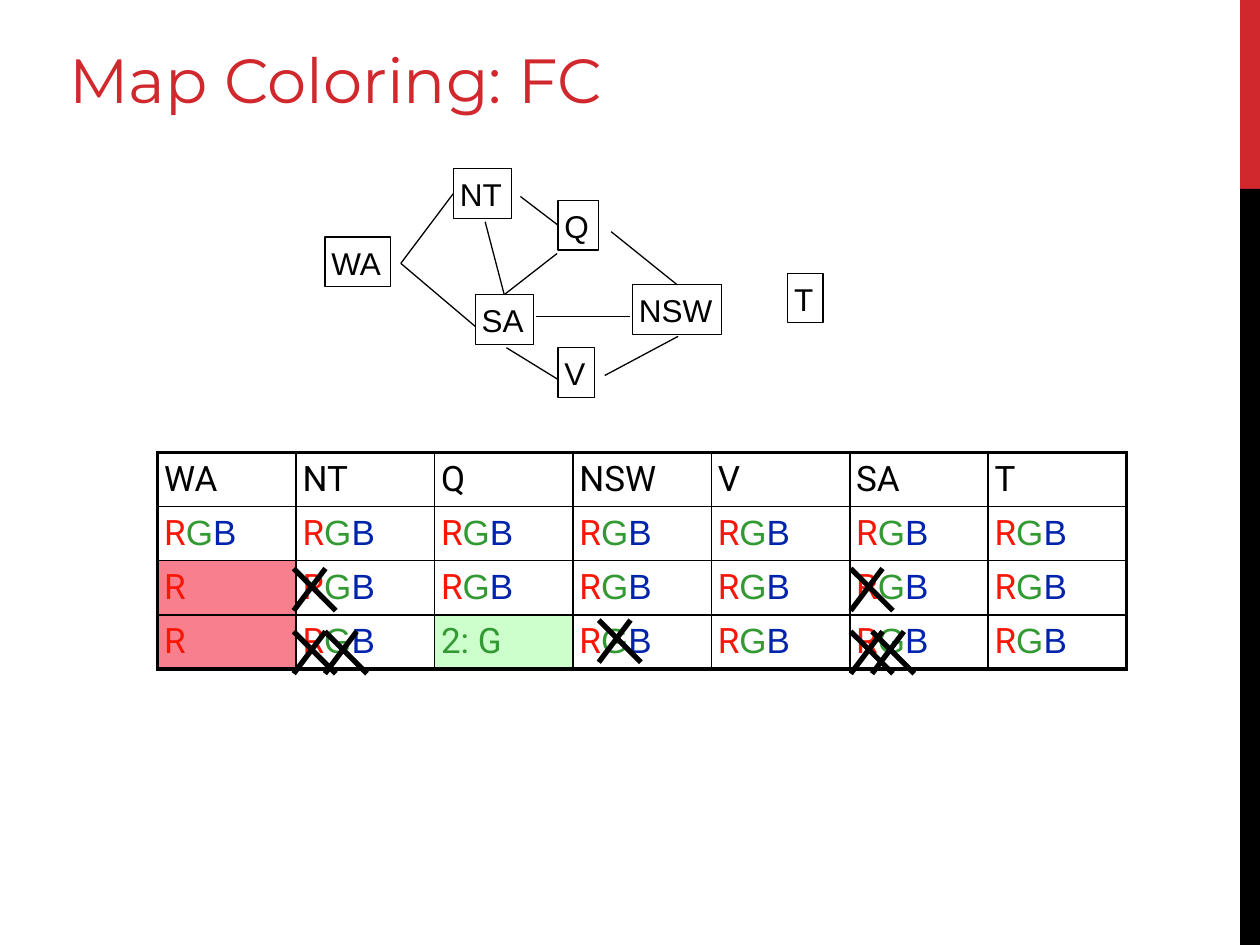
"""Build the map colouring slide: constraint graph above a forward-checking table."""
from dataclasses import dataclass
from typing import Optional

from lxml.etree import SubElement
from pptx import Presentation
from pptx.dml.color import RGBColor
from pptx.enum.shapes import MSO_CONNECTOR, MSO_SHAPE
from pptx.enum.text import MSO_ANCHOR, MSO_AUTO_SIZE, PP_ALIGN
from pptx.oxml.ns import qn
from pptx.util import Cm, Pt

BLACK, WHITE, CRIMSON = "000000", "FFFFFF", "D1282E"
RED, GREEN, BLUE = "F81706", "339933", "0023AB"
PINK, MINT = "F8808E", "CCFFCC"
MARGINS = {f"margin_{side}": Cm(0.13) for side in ("left", "top", "right", "bottom")}
NODE_FRAME = MARGINS | {"word_wrap": True, "vertical_anchor": MSO_ANCHOR.TOP}
TITLE_FRAME = MARGINS | {"word_wrap": True, "vertical_anchor": MSO_ANCHOR.BOTTOM,
                         "auto_size": MSO_AUTO_SIZE.NONE}
TITLE_PLACE = {"left": Cm(1.27), "top": Cm(0.46), "width": Cm(21.54), "height": Cm(2.01)}
CELL_FRAME = MARGINS | {"vertical_anchor": MSO_ANCHOR.TOP}
TITLE_FONT = {"name": "Montserrat", "size": Pt(35.6)}
NODE_FONT = {"name": "Arial", "size": Pt(18)}
ROBOTO_FONT = {"name": "Roboto", "size": Pt(20)}
ARIAL_FONT = {"name": "Arial", "size": Pt(20)}


@dataclass
class Span:
    """A run of text with its colour and font."""
    text: str
    color: str
    font: dict


@dataclass
class Node:
    """A region of the map, in centimetres."""
    name: str
    left: float
    top: float
    width: float


@dataclass
class Edge:
    """A line between two points, joined at its end to a region's side if one is named."""
    start: tuple[float, float]
    end: tuple[float, float]
    target: Optional[str] = None
    site: int = 0


@dataclass
class Entry:
    """A table cell's spans and background."""
    spans: list[Span]
    fill: str = WHITE


NODES = [
    Node("T", 15.88, 5.51, 0.71),
    Node("WA", 6.55, 4.78, 1.32),
    Node("NT", 9.14, 3.4, 1.17),
    Node("SA", 9.58, 5.94, 1.17),
    Node("Q", 11.25, 4.04, 0.81),
    Node("NSW", 12.75, 5.74, 1.8),
    Node("V", 11.25, 7.01, 0.74),
]
EDGES = [
    Edge((8.08, 5.31), (9.14, 3.84), "NT", 1),
    Edge((8.08, 5.31), (9.58, 6.58)),
    Edge((9.78, 4.47), (10.21, 5.94), "SA", 0),
    Edge((10.21, 7.01), (11.25, 7.65)),
    Edge((12.32, 4.67), (13.59, 5.74), "NSW", 0),
    Edge((10.49, 3.96), (11.3, 4.6), "Q", 1),
    Edge((12.19, 7.57), (13.67, 6.78)),
    Edge((11.23, 5.11), (10.16, 5.94), "SA", 0),
    Edge((10.8, 6.38), (12.7, 6.38)),
]
CROSSES = [(5.92, 11.46), (17.15, 11.46), (6.55, 12.73), (12.07, 12.5),
           (17.58, 12.73), (17.15, 12.73), (5.92, 12.73)]

HEADER = [Entry([Span(name, BLACK, ROBOTO_FONT)])
          for name in ("WA", "NT", "Q", "NSW", "V", "SA", "T")]
DOMAIN = Entry([Span("R", RED, ROBOTO_FONT), Span("G", GREEN, ARIAL_FONT),
                Span("B", BLUE, ARIAL_FONT)])
RED_CHOICE = Entry([Span("R", RED, ROBOTO_FONT)], PINK)
GREEN_CHOICE = Entry([Span("2: G", GREEN, ROBOTO_FONT)], MINT)
ROWS = [HEADER, [DOMAIN] * 7, [RED_CHOICE] + [DOMAIN] * 6,
        [RED_CHOICE, DOMAIN, GREEN_CHOICE] + [DOMAIN] * 4]


def assign(target, values: dict) -> None:
    """Set every named attribute on the target."""
    for name, value in values.items():
        setattr(target, name, value)


def paint(fill, color: str) -> None:
    """Give a shape, line, font or cell fill a solid colour."""
    fill.solid()
    fill.fore_color.rgb = RGBColor.from_string(color)


def write(frame, spans: list[Span]) -> None:
    """Write one left-aligned paragraph of spans."""
    para = frame.paragraphs[0]
    para.alignment = PP_ALIGN.LEFT
    for span in spans:
        run = para.add_run()
        run.text = span.text
        assign(run.font, span.font)
        paint(run.font.fill, span.color)


def add_bar(page, top: float, height: float, color: str) -> None:
    """Draw one part of the strip at the right edge."""
    bar = page.shapes.add_shape(MSO_SHAPE.RECTANGLE, Cm(25), Cm(top), Cm(0.4), Cm(height))
    bar.shadow.inherit = False
    paint(bar.fill, color)
    bar.line.fill.background()


def add_node(page, node: Node):
    """Draw a region's labelled box."""
    box = page.shapes.add_shape(MSO_SHAPE.RECTANGLE, Cm(node.left), Cm(node.top),
                                Cm(node.width), Cm(1))
    box.shadow.inherit = False
    box.fill.background()
    paint(box.line.fill, BLACK)
    box.line.width = Pt(0.75)
    assign(box.text_frame, NODE_FRAME)
    write(box.text_frame, [Span(node.name, BLACK, NODE_FONT)])
    return box


def add_line(page, edge: Edge, weight: float):
    """Draw a straight black line."""
    points = [Cm(value) for value in (*edge.start, *edge.end)]
    line = page.shapes.add_connector(MSO_CONNECTOR.STRAIGHT, *points)
    paint(line.line.fill, BLACK)
    line.line.width = Pt(weight)
    SubElement(line._element.spPr, qn("a:effectLst"))
    return line


def add_cross(page, left: float, top: float) -> None:
    """Strike out a value with two thick strokes."""
    bottom = top + 0.85
    add_line(page, Edge((left + 0.64, top), (left, bottom)), 3)
    add_line(page, Edge((left, top), (left + 0.85, bottom)), 3)


def set_borders(cell, outer_sides: dict[str, bool]) -> None:
    """Rule a cell, heavier on the table's outer sides."""
    properties = cell._tc.get_or_add_tcPr()
    for position, (side, outer) in enumerate(outer_sides.items()):
        border = SubElement(properties, qn(f"a:ln{side}"), w=str(Pt(2.25 if outer else 1)))
        solid = SubElement(border, qn("a:solidFill"))
        SubElement(solid, qn("a:srgbClr"), val=BLACK)
        properties.insert(position, border)


def add_domains(page, rows: list[list[Entry]]) -> None:
    """Draw the table of remaining values."""
    row_count, column_count = len(rows), len(rows[0])
    table = page.shapes.add_table(row_count, column_count, Cm(3.18), Cm(9.12),
                                  Cm(2.79 * column_count), Cm(0.94 * row_count)).table
    assign(table, {"first_row": False, "horz_banding": False})
    for row_index, entries in enumerate(rows):
        for column_index, entry in enumerate(entries):
            cell = table.cell(row_index, column_index)
            assign(cell, CELL_FRAME)
            write(cell.text_frame, entry.spans)
            paint(cell.fill, entry.fill)
            set_borders(cell, {"L": column_index == 0, "R": column_index == column_count - 1,
                               "T": row_index == 0, "B": row_index == row_count - 1})


def main() -> None:
    """Assemble and save the deck."""
    deck = Presentation()
    assign(deck, {"slide_width": Cm(25.4), "slide_height": Cm(19.05)})
    page = deck.slides.add_slide(deck.slide_layouts[5])
    add_bar(page, 0, 3.81, CRIMSON)
    add_bar(page, 3.81, 15.24, BLACK)
    add_domains(page, ROWS)
    title = page.shapes.title
    assign(title, TITLE_PLACE)
    assign(title.text_frame, TITLE_FRAME)
    write(title.text_frame, [Span("Map Coloring: FC", CRIMSON, TITLE_FONT)])
    boxes = {node.name: add_node(page, node) for node in NODES}
    for edge in EDGES:
        line = add_line(page, edge, 0.75)
        if edge.target:
            line.end_connect(boxes[edge.target], edge.site)
    for left, top in CROSSES:
        add_cross(page, left, top)
    deck.save("out.pptx")


if __name__ == "__main__":
    main()
